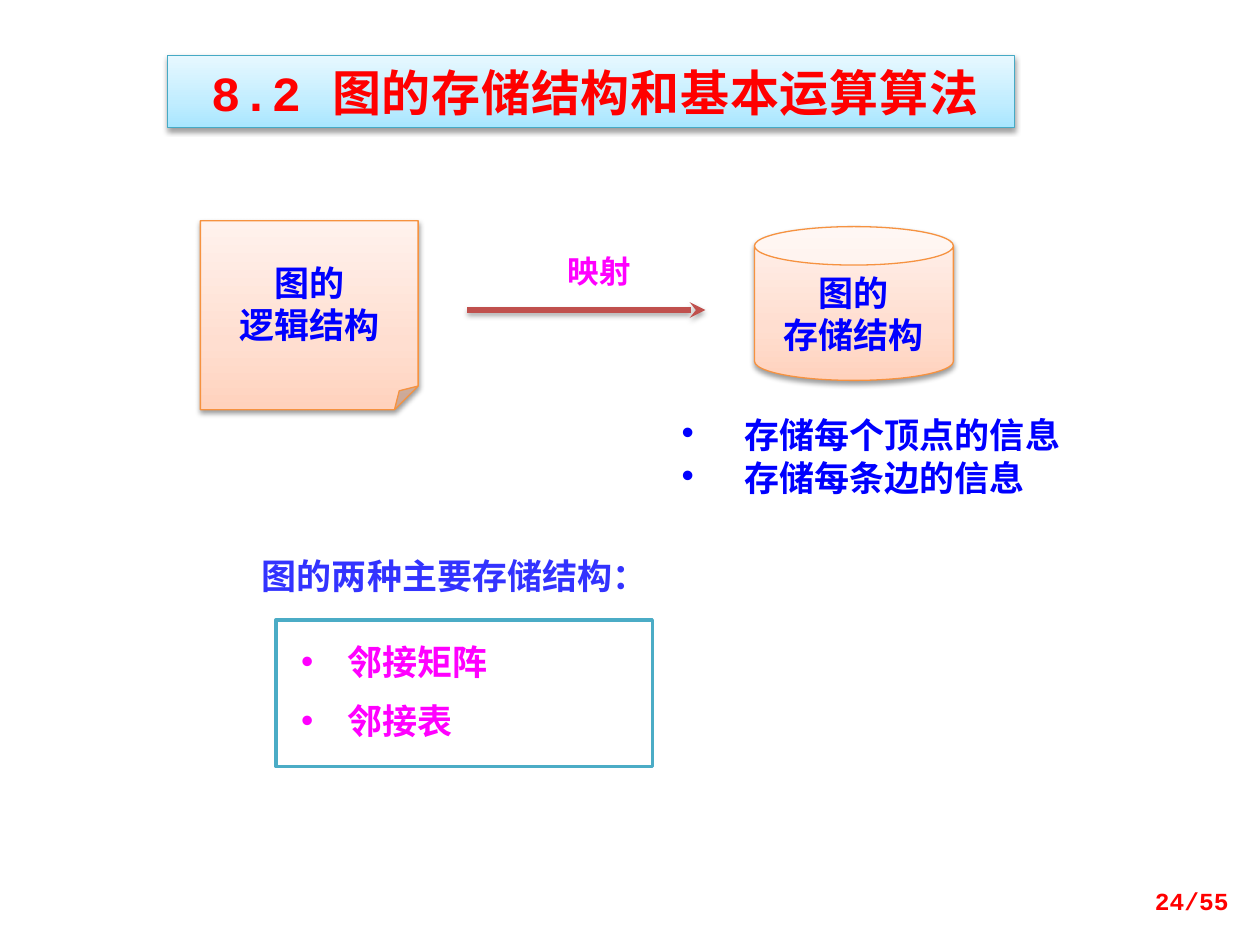
from lxml.etree import SubElement
from pptx import Presentation
from pptx.dml.color import RGBColor
from pptx.enum.shapes import MSO_CONNECTOR, MSO_SHAPE
from pptx.enum.text import MSO_ANCHOR, MSO_AUTO_SIZE, PP_ALIGN
from pptx.oxml.ns import qn
from pptx.util import Cm, Pt

CJK_FONT = "Noto Sans CJK SC"
BLUE, MAGENTA, RED = "0000FF", "FF00FF", "FF0000"
PEACH = [(0, "FFD2BD"), (35, "FFDED0"), (100, "FFF2ED")]
SKY = [(0, "A7E6FF"), (35, "C1EDFF"), (100, "E7F8FF")]


def rgb(value):
    return RGBColor.from_string(value)


def write_text(shape, text, *, color, size=20, font=CJK_FONT, align=PP_ALIGN.LEFT,
               anchor=MSO_ANCHOR.TOP, wrap=True, insets=(0.25, 0.13, 0.25, 0.13),
               line_spacing=1.0, gap=0, bullet_indent=None, tracking=0):
    """Fill a shape with one formatted paragraph per line of text; lengths in cm."""
    frame = shape.text_frame
    frame.text = text
    frame.word_wrap = wrap
    frame.auto_size = MSO_AUTO_SIZE.NONE
    frame.vertical_anchor = anchor
    (frame.margin_left, frame.margin_top,
     frame.margin_right, frame.margin_bottom) = map(Cm, insets)
    for index, paragraph in enumerate(frame.paragraphs):
        paragraph.alignment = align
        paragraph.line_spacing = line_spacing
        paragraph.space_before = Pt(gap if index else 0)
        if bullet_indent:
            properties = paragraph._p.get_or_add_pPr()
            properties.set("marL", str(Cm(bullet_indent)))
            properties.set("indent", str(-Cm(bullet_indent)))
            SubElement(properties, qn("a:buFont"), typeface="Arial")
            SubElement(properties, qn("a:buChar"), char="•")
        for run in paragraph.runs:
            run.font.name = font
            run.font.size = Pt(size)
            run.font.bold = True
            run.font.color.rgb = rgb(color)
            run_properties = run._r.get_or_add_rPr()
            SubElement(run_properties, qn("a:ea"), typeface=CJK_FONT)
            if tracking:
                run_properties.set("spc", str(int(tracking * 100)))


def place(shape, left, top, width, height):
    shape.left, shape.top, shape.width, shape.height = map(
        Cm, (left, top, width, height))


def add_shadow(effects, opacity):
    """Put a soft shadow straight below the object."""
    shadow = SubElement(effects, qn("a:outerShdw"), blurRad=str(Pt(3.1)),
                        dist=str(Pt(1.6)), dir="5400000", rotWithShape="0")
    color = SubElement(shadow, qn("a:srgbClr"), val="000000")
    SubElement(color, qn("a:alpha"), val=str(opacity * 1000))


def style_raised(shape, stops, line):
    """Give a shape a vertical gradient, a thin outline and a shadow."""
    shape.fill.gradient()
    shape.fill.gradient_angle = 90
    stop_list = shape._element.spPr.find(".//" + qn("a:gsLst"))
    stop_list.clear()
    for position, value in stops:
        stop = SubElement(stop_list, qn("a:gs"), pos=str(position * 1000))
        SubElement(stop, qn("a:srgbClr"), val=value)
    shape.line.color.rgb = rgb(line)
    shape.line.width = Pt(0.75)
    shape.shadow.inherit = False
    add_shadow(shape._element.spPr.find(qn("a:effectLst")), 38)


class SlideBuilder:
    def __init__(self, presentation):
        # Two Content layout: a title and two lists
        self.slide = presentation.slides.add_slide(presentation.slide_layouts[3])

    def title(self, text, box):
        shape = self.slide.shapes.title
        place(shape, *box)
        style_raised(shape, SKY, "46AAC5")
        write_text(shape, text, color=RED, size=28, font="Courier New",
                   align=PP_ALIGN.CENTER, anchor=MSO_ANCHOR.MIDDLE,
                   insets=(0.41, 0.13, 0.25, 0.13), tracking=0.5)

    def bullets(self, placeholder_index, items, box, line=None, **text_format):
        shape = self.slide.placeholders[placeholder_index]
        place(shape, *box)
        shape.fill.solid()
        shape.fill.fore_color.rgb = rgb("FFFFFF")
        if line:
            shape.line.color.rgb = rgb(line)
            shape.line.width = Pt(2)
        write_text(shape, "\n".join(items), gap=10, **text_format)

    def node(self, kind, text, box):
        shape = self.slide.shapes.add_shape(kind, *map(Cm, box))
        if kind == MSO_SHAPE.FOLDED_CORNER:
            guides = shape._element.spPr.find(".//" + qn("a:avLst"))
            SubElement(guides, qn("a:gd"), name="adj", fmla="val 12500")
        style_raised(shape, PEACH, "F69240")
        write_text(shape, text, color=BLUE, font="Calibri", align=PP_ALIGN.CENTER,
                   anchor=MSO_ANCHOR.MIDDLE, wrap=False)

    def arrow(self, start, end, y):
        connector = self.slide.shapes.add_connector(
            MSO_CONNECTOR.STRAIGHT, Cm(start), Cm(y), Cm(end), Cm(y))
        connector.line.color.rgb = rgb("C0504D")
        connector.line.width = Pt(3)
        SubElement(connector.line._get_or_add_ln(), qn("a:tailEnd"), type="stealth")
        add_shadow(SubElement(connector._element.spPr, qn("a:effectLst")), 35)

    def label(self, text, box, **text_format):
        write_text(self.slide.shapes.add_textbox(*map(Cm, box)), text, **text_format)


def main():
    presentation = Presentation()
    presentation.slide_width, presentation.slide_height = Cm(25.4), Cm(19.05)
    builder = SlideBuilder(presentation)

    builder.title("8.2 图的存储结构和基本运算算法", (3.38, 1.12, 17.07, 1.45))

    # Mapping from logical structure to storage structure
    builder.node(MSO_SHAPE.FOLDED_CORNER, "图的\n逻辑结构", (4.04, 4.45, 4.39, 3.81))
    builder.node(MSO_SHAPE.CAN, "图的\n存储结构", (15.21, 4.57, 4.01, 3.1))
    builder.arrow(9.42, 14.22, 6.25)
    builder.label("映射", (11.2, 4.95, 2.29, 1.02), color=MAGENTA, size=18)
    builder.bullets(1, ["存储每个顶点的信息", "存储每条边的信息"],
                    (13.49, 8.13, 8.2, 2.41), color=BLUE, font="Courier New",
                    insets=(0.25, 0.51, 0.25, 0.41), line_spacing=0.6,
                    bullet_indent=1.27)

    # Two main storage structures
    builder.label("图的两种主要存储结构：", (5.03, 11.05, 11.2, 1.12),
                  color="3333FF", font="Times New Roman")
    builder.bullets(2, ["邻接矩阵", "邻接表"], (5.56, 12.5, 7.59, 2.95),
                    line="4BACC6", color=MAGENTA,
                    insets=(0.51, 0.41, 0.25, 0.41), bullet_indent=0.93)

    # Page number
    builder.label("24/55", (19.2, 17.65, 5.82, 1.02), color=RED, size=14,
                  font="Courier New", align=PP_ALIGN.RIGHT, anchor=MSO_ANCHOR.MIDDLE)

    presentation.save("out.pptx")


if __name__ == "__main__":
    main()
